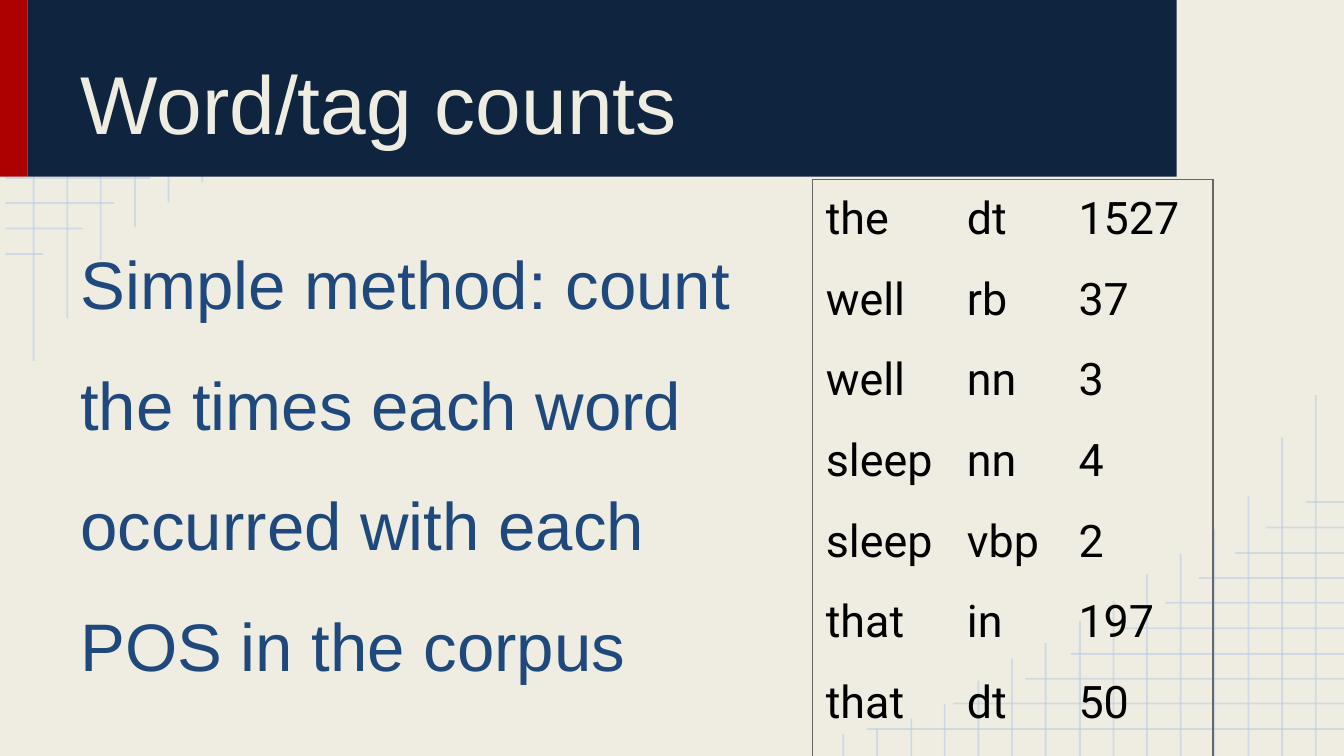
import pptx
import pptx.dml.color
import pptx.enum.shapes
import pptx.enum.text
import pptx.oxml
import pptx.oxml.ns
import pptx.util

RGB = pptx.dml.color.RGBColor
CREAM = RGB(0xEF, 0xED, 0xE2)
NAVY = RGB(0x0F, 0x24, 0x3E)
RED = RGB(0xAB, 0x01, 0x01)
BLUE = RGB(0x1F, 0x49, 0x7D)
PALE = RGB(0xB7, 0xCC, 0xE4)
GREY = RGB(0x66, 0x66, 0x66)
BLACK = RGB(0, 0, 0)

WIDE, HIGH = 2000, 1125  # slide size, 200 px to the inch
EDGE = 8                 # where the grid rows start
ROWS = [718, 590, 482, 414, 334, 274, 224, 170, 124, 64]  # right ends
COLS = [537, 474, 387, 338, 301, 271, 231, 201,
        168, 145, 112, 77, 56, 40, 33]                    # lower ends
PLAIN = "{2D5ABB26-0587-4C30-8999-92F81FD0307C}"  # table style with no grid

COUNTS = [
    ("the", "dt", "1527"),
    ("well", "rb", "37"),
    ("well", "nn", "3"),
    ("sleep", "nn", "4"),
    ("sleep", "vbp", "2"),
    ("that", "in", "197"),
    ("that", "dt", "50"),
    ("", "", ""),
]


def px(n):
    return pptx.util.Emu(n * 4572)


def box(n):
    return [px(v) for v in n]


def add_node(parent, xml):
    parent.append(pptx.oxml.parse_xml(xml))


def add_line(slide, *ends):
    line = slide.shapes.add_connector(
        pptx.enum.shapes.MSO_CONNECTOR.STRAIGHT, *box(ends))
    line.line.color.rgb = PALE
    line.line.width = pptx.util.Pt(1)
    space = pptx.oxml.ns.nsdecls("a")
    tint = line.line.fill._xPr.find(".//" + pptx.oxml.ns.qn("a:srgbClr"))
    add_node(tint, f'<a:alpha {space} val="54000"/>')
    add_node(line._element.spPr, f"<a:effectLst {space}/>")


def add_grid(slide, turn):
    """Draw a corner grid; turn maps a point to its corner."""
    for i, end in enumerate(ROWS):
        y = round(40 + 37.5 * i)
        add_line(slide, *turn(EDGE, y), *turn(end, y))
    for i, end in enumerate(COLS):
        x = round(50 + 50.2 * i)
        add_line(slide, *turn(x, end), *turn(x, 0))


def add_bar(slide, place, fill):
    bar = slide.shapes.add_shape(
        pptx.enum.shapes.MSO_SHAPE.RECTANGLE, *box(place))
    bar.shadow.inherit = False
    bar.fill.solid()
    bar.fill.fore_color.rgb = fill
    bar.line.fill.background()


def style(part, size, face, ink):
    part.font.size = pptx.util.Pt(size)
    part.font.name = face
    part.font.color.rgb = ink


def pad(item):
    item.margin_left = item.margin_right = px(20)
    item.margin_top = item.margin_bottom = px(20)


def add_text(slide, place, text, size, ink, anchor, space=None):
    frame = slide.shapes.add_textbox(*box(place)).text_frame
    frame.word_wrap = True
    frame.vertical_anchor = anchor
    pad(frame)
    frame.text = text
    para = frame.paragraphs[0]
    if space:
        para.line_spacing = space
    style(para.runs[0], size, "Arial", ink)


def edge_cell(cell, sides):
    """Rule the given sides of a cell."""
    props = cell._tc.get_or_add_tcPr()
    space = pptx.oxml.ns.nsdecls("a")
    for i, side in enumerate(sides):
        props.insert(i, pptx.oxml.parse_xml(
            f'<a:ln{side} {space} w="9525"><a:solidFill>'
            f'<a:srgbClr val="{GREY}"/></a:solidFill></a:ln{side}>'))


def add_counts(slide):
    wides = [210, 166, 220]
    last, right = len(COUNTS) - 1, len(wides) - 1
    table = slide.shapes.add_table(
        len(COUNTS), len(wides),
        *box((1209, 267, sum(wides), 78 * len(COUNTS)))).table
    table.first_row = table.horz_banding = False
    table._tbl.tblPr[0].text = PLAIN
    for col, wide in zip(table.columns, wides):
        col.width = px(wide)
    for r, words in enumerate(COUNTS):
        for c, word in enumerate(words):
            cell = table.cell(r, c)
            cell.fill.background()
            pad(cell)
            sides = {"L": c == 0, "R": c == right,
                     "T": r == 0, "B": r == last}
            edge_cell(cell, [s for s in sides if sides[s]])
            if word:
                cell.text = word
                style(cell.text_frame.paragraphs[0].runs[0],
                      24, "Roboto", BLACK)


def main():
    deck = pptx.Presentation()
    deck.slide_width, deck.slide_height = px(WIDE), px(HIGH)
    slide = deck.slides.add_slide(deck.slide_layouts[6])
    slide.background.fill.solid()
    slide.background.fill.fore_color.rgb = CREAM

    # Corner grids: the second is the first turned half round
    add_grid(slide, lambda x, y: (x, y))
    add_grid(slide, lambda x, y: (WIDE + EDGE - x, HIGH - y))

    # Title band
    add_bar(slide, (0, -2, 41, 265), RED)
    add_bar(slide, (41, -2, 1710, 265), NAVY)
    anchor = pptx.enum.text.MSO_ANCHOR
    add_text(slide, (100, 22, 1600, 222), "Word/tag counts",
             44, CREAM, anchor.BOTTOM)

    # Body and counts
    add_text(slide, (100, 280, 1108, 794),
             "Simple method: count the times each word occurred "
             "with each POS in the corpus", 36, BLUE, anchor.TOP, 1.5)
    add_counts(slide)
    deck.save("out.pptx")


if __name__ == "__main__":
    main()
